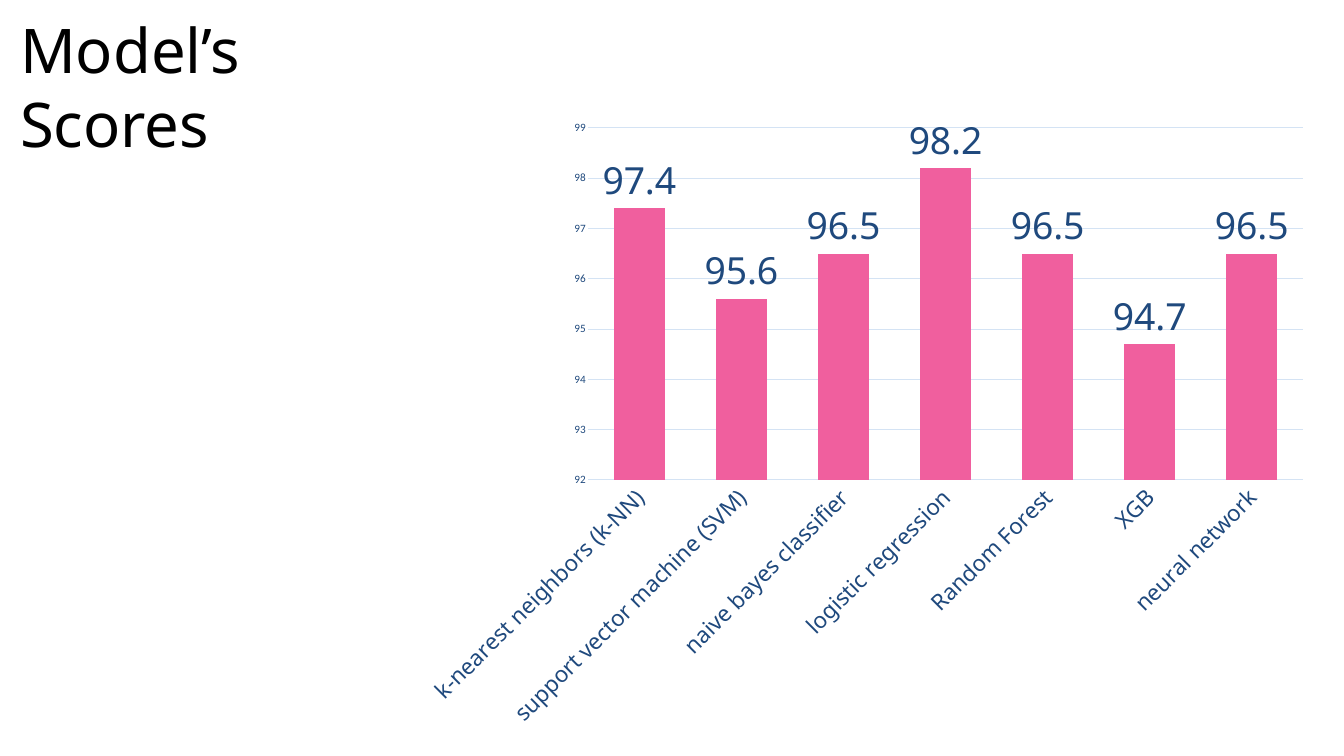
import pptx
import pptx.chart.data
import pptx.dml.color
import pptx.enum.chart
import pptx.enum.text
import pptx.oxml
import pptx.oxml.ns
import pptx.util

EMU_PER_PX = 9144
SCORES = {
    "k-nearest neighbors (k-NN)": 97.4,
    "support vector machine (SVM)": 95.6,
    "naive bayes classifier": 96.5,
    "logistic regression": 98.2,
    "Random Forest": 96.5,
    "XGB": 94.7,
    "neural network": 96.5,
}


def px(length):
    return pptx.util.Emu(length * EMU_PER_PX)


def color(value):
    return pptx.dml.color.RGBColor.from_string(value)


def set_font(font, name, size, fill):
    font.name = name
    font.size = pptx.util.Pt(size)
    font.bold = False
    font.color.rgb = color(fill)


def add_text(frame, text, *, name, size, fill):
    para = frame.paragraphs[0]
    para.alignment = pptx.enum.text.PP_ALIGN.LEFT
    span = para.add_run()
    span.text = text
    set_font(span.font, name, size, fill)


class ScoreSlide:
    heading_font = "Noto Sans"
    axis_font = "Calibri"
    black = "000000"
    navy = "1F497D"
    pale_blue = "D4E3F4"
    pink = "F05F9E"

    def __init__(self, page):
        self.page = page

    def title(self, text, left, top, width, height):
        box = self.page.shapes.add_textbox(px(left), px(top), px(width), px(height))
        frame = box.text_frame
        frame.word_wrap = True
        frame.margin_left = frame.margin_right = frame.margin_bottom = 0
        frame.margin_top = px(5)
        add_text(frame, text, name=self.heading_font, size=66, fill=self.black)

    def column_chart(self, scores, left, top, width, height):
        data = pptx.chart.data.CategoryChartData()
        data.categories = list(scores)
        data.add_series("Series 1", list(scores.values()))
        chart = self.page.shapes.add_chart(
            pptx.enum.chart.XL_CHART_TYPE.COLUMN_CLUSTERED,
            px(left), px(top), px(width), px(height), data,
        ).chart
        chart.has_legend = False
        chart.has_title = False
        set_font(chart.font, self.axis_font, 10, self.black)
        self.style_columns(chart.plots[0])
        self.style_category_axis(chart.category_axis)
        self.style_value_axis(chart.value_axis)
        self.place_plot(chart, x=0.197, y=0.03, w=0.783, h=0.558)

    def style_columns(self, plot):
        plot.gap_width = 100
        plot.overlap = -24
        plot.vary_by_categories = False
        series = plot.series[0]
        series.format.fill.solid()
        series.format.fill.fore_color.rgb = color(self.pink)
        labels = series.data_labels
        labels.show_value = True
        labels.position = pptx.enum.chart.XL_LABEL_POSITION.OUTSIDE_END
        labels.number_format = "General"
        labels.number_format_is_linked = False
        set_font(labels.font, self.heading_font, 40, self.navy)

    def style_line(self, line):
        line.color.rgb = color(self.pale_blue)
        line.width = pptx.util.Pt(0.75)

    def style_category_axis(self, axis):
        axis.major_tick_mark = pptx.enum.chart.XL_TICK_MARK.NONE
        self.style_line(axis.format.line)
        set_font(axis.tick_labels.font, self.heading_font, 24, self.navy)
        body = axis._element.find(".//" + pptx.oxml.ns.qn("a:bodyPr"))
        body.set("rot", "-2700000")
        body.set("vert", "horz")

    def style_value_axis(self, axis):
        axis.minimum_scale, axis.maximum_scale, axis.major_unit = 92, 99, 1
        axis.major_tick_mark = pptx.enum.chart.XL_TICK_MARK.NONE
        axis.format.line.fill.background()
        axis.has_major_gridlines = True
        self.style_line(axis.major_gridlines.format.line)
        set_font(axis.tick_labels.font, self.axis_font, 12, self.navy)

    def place_plot(self, chart, **edges):
        area = chart._chartSpace.find(".//" + pptx.oxml.ns.qn("c:plotArea"))
        for old in area.findall(pptx.oxml.ns.qn("c:layout")):
            area.remove(old)
        modes = "".join(f'<c:{edge}Mode val="edge"/>' for edge in "xy")
        sizes = "".join(f'<c:{edge} val="{value}"/>' for edge, value in edges.items())
        area.insert(0, pptx.oxml.parse_xml(
            f'<c:layout {pptx.oxml.ns.nsdecls("c")}><c:manualLayout>'
            f'<c:layoutTarget val="inner"/>{modes}{sizes}'
            "</c:manualLayout></c:layout>"
        ))


def main():
    deck = pptx.Presentation()
    deck.slide_width, deck.slide_height = px(2000), px(1125)
    slide = ScoreSlide(deck.slides.add_slide(deck.slide_layouts[6]))
    slide.column_chart(SCORES, 608, 162, 1358, 939)
    slide.title("Model’s Scores", 30, 13, 467, 227)
    deck.save("out.pptx")


if __name__ == "__main__":
    main()
